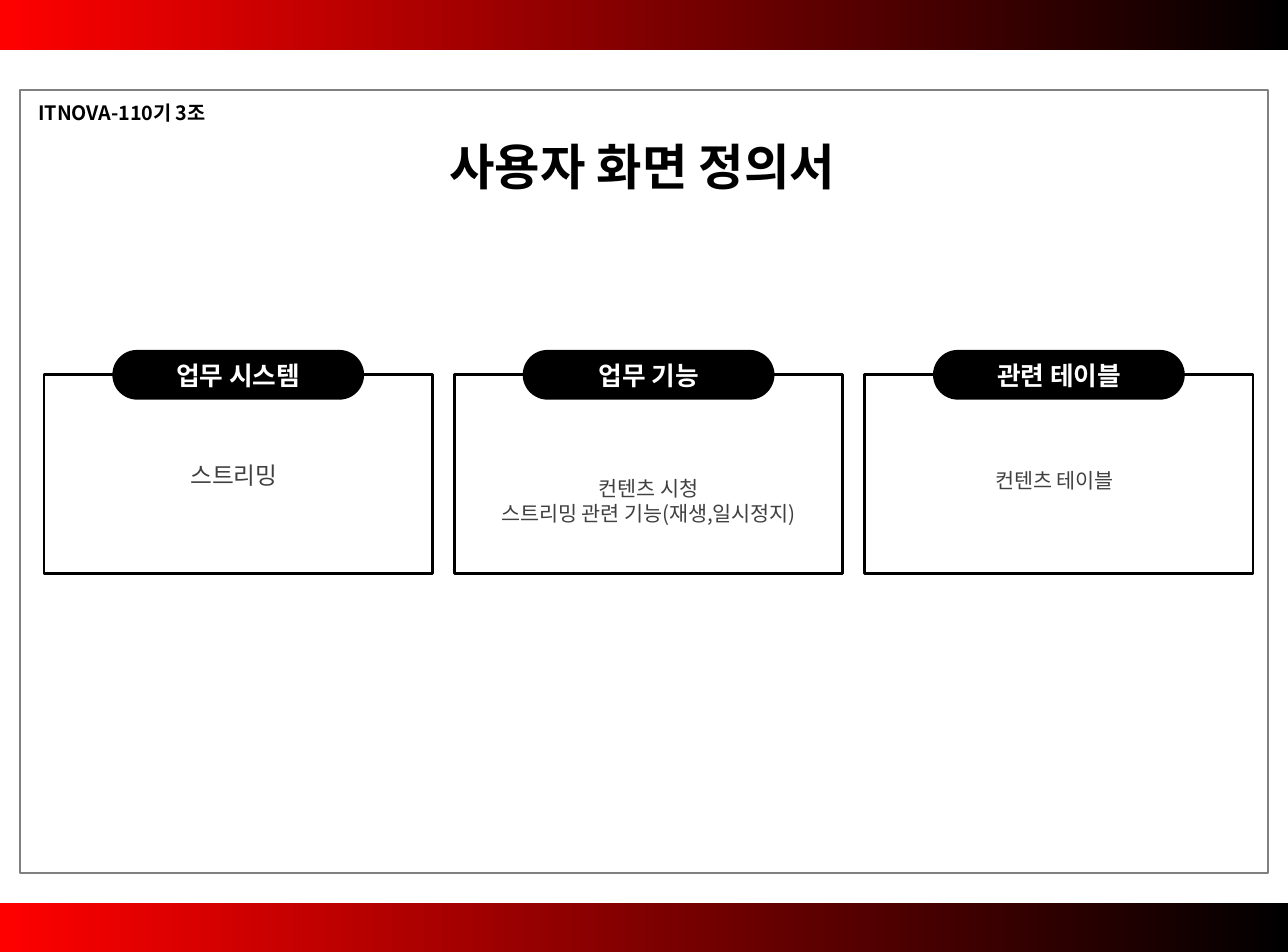
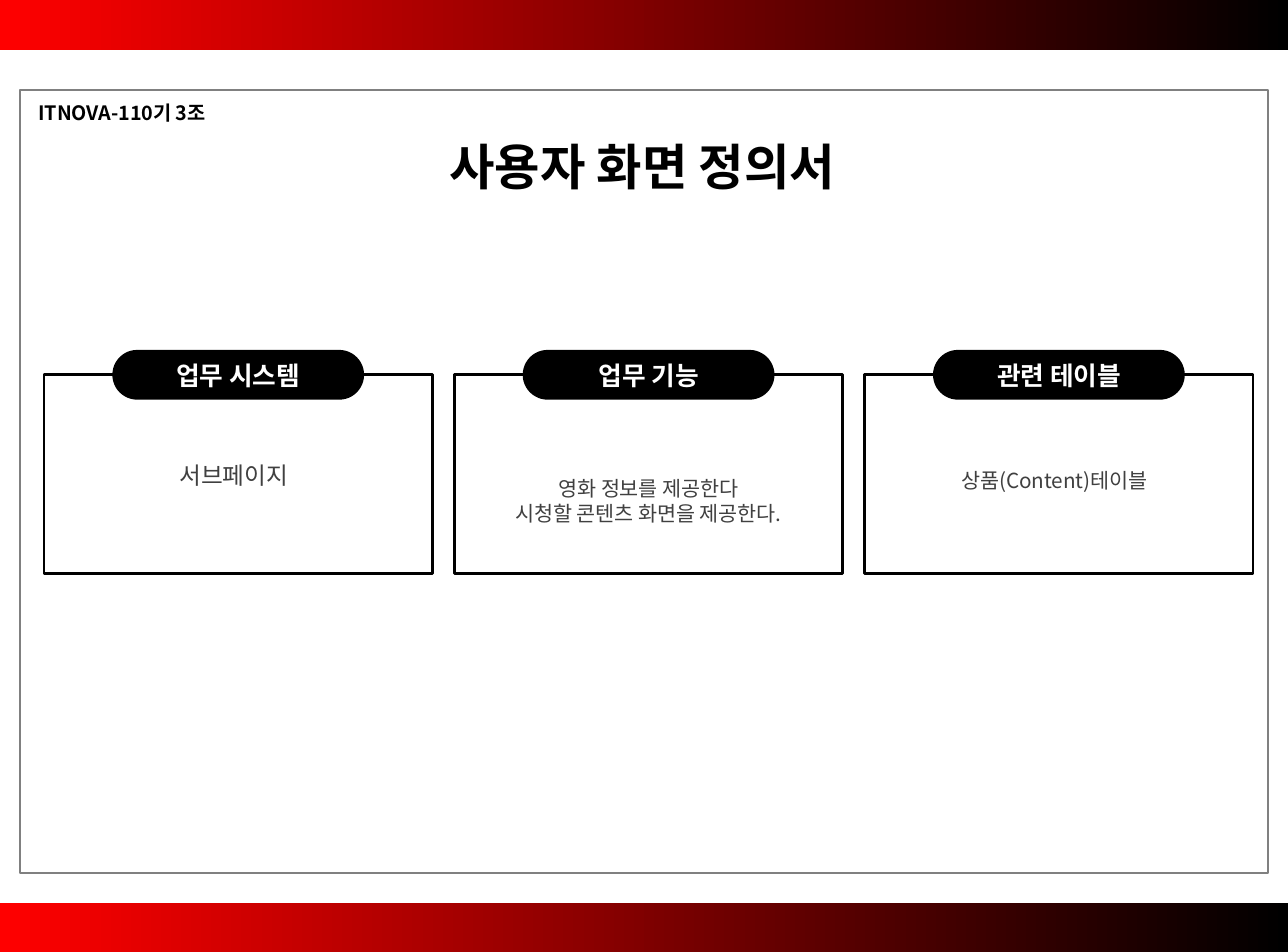
from dataclasses import dataclass

from pptx import Presentation
from pptx import util as u
from pptx.dml.color import RGBColor
from pptx.enum import shapes, text
from pptx.oxml.ns import qn


@dataclass(frozen=True)
class Theme:
    font: str = "Noto Sans CJK KR"
    black: str = "000000"
    white: str = "FFFFFF"
    red: str = "FF0000"
    frame: str = "808080"
    body: str = "404040"
    title_size: float = 25
    heading_size: float = 13
    system_size: float = 12
    body_size: float = 10.5
    label_size: float = 10


THEME = Theme()

SLIDE_WIDTH, SLIDE_HEIGHT = u.Cm(23), u.Cm(17)
WIDTH = SLIDE_WIDTH.inches
BAND_HEIGHT = 0.35
BAND_TOPS = (6.35, 0)
MARGIN = 0.14

# Three equal cards spread over one row
COLUMNS = 3
ROW_LEFT, ROW_TOP, ROW_WIDTH = 0.31, 2.635, 8.5
CARD_WIDTH, CARD_HEIGHT = 2.73, 1.4
CARD_GAP = (ROW_WIDTH - COLUMNS * CARD_WIDTH) / (COLUMNS - 1)
PILL_WIDTH, PILL_HEIGHT = 1.77, 0.35

TITLE = "사용자 화면 정의서"
TEAM = "ITNOVA-110기 3조"

# Heading, text size, shift from the card's left, top and height of the text
CARDS = [
    ("업무 시스템", THEME.system_size, -0.03, 3.19, 0.3),
    ("업무 기능", THEME.body_size, 0, 3.3, 0.44),
    ("관련 테이블", THEME.body_size, -0.03, 3.24, 0.27),
]

SLIDES = [
    ("스트리밍", "컨텐츠 시청\n스트리밍 관련 기능(재생,일시정지)", "컨텐츠 테이블"),
    ("서브페이지", "영화 정보를 제공한다\n시청할 콘텐츠 화면을 제공한다.", "상품(Content)테이블"),
]


def box(left, top, width, height):
    return [u.Inches(length) for length in (left, top, width, height)]


def rgb(color):
    return RGBColor.from_string(color)


def write(shape, content, *, size, color=THEME.black, bold=False,
          align=text.PP_ALIGN.CENTER, spacing=None, insets=(0.09, 0.04)):
    """Fill a shape with text, one paragraph a line."""
    frame = shape.text_frame
    frame.word_wrap = True
    frame.auto_size = text.MSO_AUTO_SIZE.NONE
    frame.vertical_anchor = text.MSO_ANCHOR.MIDDLE
    frame.margin_left = frame.margin_right = u.Inches(insets[0])
    frame.margin_top = frame.margin_bottom = u.Inches(insets[1])
    frame.text = content
    for paragraph in frame.paragraphs:
        paragraph.alignment = align
        if spacing:
            paragraph.line_spacing = u.Pt(spacing)
        for run in paragraph.runs:
            run.font.size = u.Pt(size)
            run.font.bold = bold
            run.font.color.rgb = rgb(color)
            run.font.name = THEME.font
            east_asian = run.font._element.makeelement(qn("a:ea"), {"typeface": THEME.font})
            run.font._element.find(qn("a:latin")).addnext(east_asian)


def add_text(slide, place, content, **style):
    write(slide.shapes.add_textbox(*box(*place)), content, **style)


def add_panel(slide, place, kind=shapes.MSO_SHAPE.RECTANGLE, fill=None, line=None, weight=1):
    shape = slide.shapes.add_shape(kind, *box(*place))
    shape.shadow.inherit = False
    if fill:
        shape.fill.solid()
        shape.fill.fore_color.rgb = rgb(fill)
    else:
        shape.fill.background()
    if line:
        shape.line.color.rgb = rgb(line)
        shape.line.width = u.Pt(weight)
    else:
        shape.line.fill.background()
    return shape


def add_band(slide, top):
    band = add_panel(slide, (0, top, WIDTH, BAND_HEIGHT))
    band.fill.gradient()
    band.fill.gradient_angle = 0
    for stop, color in zip(band.fill.gradient_stops, (THEME.red, THEME.black)):
        stop.color.rgb = rgb(color)


def add_title(slide):
    title = slide.shapes.title
    title.left, title.top, title.width, title.height = box(2.17, 0.91, 4.69, 0.51)
    write(title, TITLE, size=THEME.title_size, bold=True)


def add_card(slide, column, content):
    heading, size, shift, text_top, text_height = CARDS[column]
    left = ROW_LEFT + column * (CARD_WIDTH + CARD_GAP)
    add_panel(slide, (left, ROW_TOP, CARD_WIDTH, CARD_HEIGHT), line=THEME.black, weight=1.5)
    pill = add_panel(
        slide,
        (left + (CARD_WIDTH - PILL_WIDTH) / 2, ROW_TOP - PILL_HEIGHT / 2, PILL_WIDTH, PILL_HEIGHT),
        shapes.MSO_SHAPE.ROUNDED_RECTANGLE, fill=THEME.black)
    pill.adjustments[0] = 0.5
    write(pill, heading, size=THEME.heading_size, color=THEME.white, bold=True)
    add_text(slide, (left + shift, text_top, CARD_WIDTH, text_height), content,
             size=size, color=THEME.body, spacing=1.2 * size, insets=(0.1, 0.05))


def add_surround(slide):
    """Draw the bands, frame and team label that every slide carries."""
    for top in BAND_TOPS:
        add_band(slide, top)
    add_panel(slide, (MARGIN, 0.63, WIDTH - 2 * MARGIN, 5.51), line=THEME.frame)
    add_text(slide, (0.18, 0.66, 4.03, 0.26), TEAM, size=THEME.label_size,
             bold=True, align=text.PP_ALIGN.LEFT)


def main():
    presentation = Presentation()
    presentation.slide_width, presentation.slide_height = SLIDE_WIDTH, SLIDE_HEIGHT
    title_only = presentation.slide_layouts[5]
    for contents in SLIDES:
        slide = presentation.slides.add_slide(title_only)
        add_title(slide)
        for column, content in enumerate(contents):
            add_card(slide, column, content)
        add_surround(slide)
    presentation.save("out.pptx")


if __name__ == "__main__":
    main()
